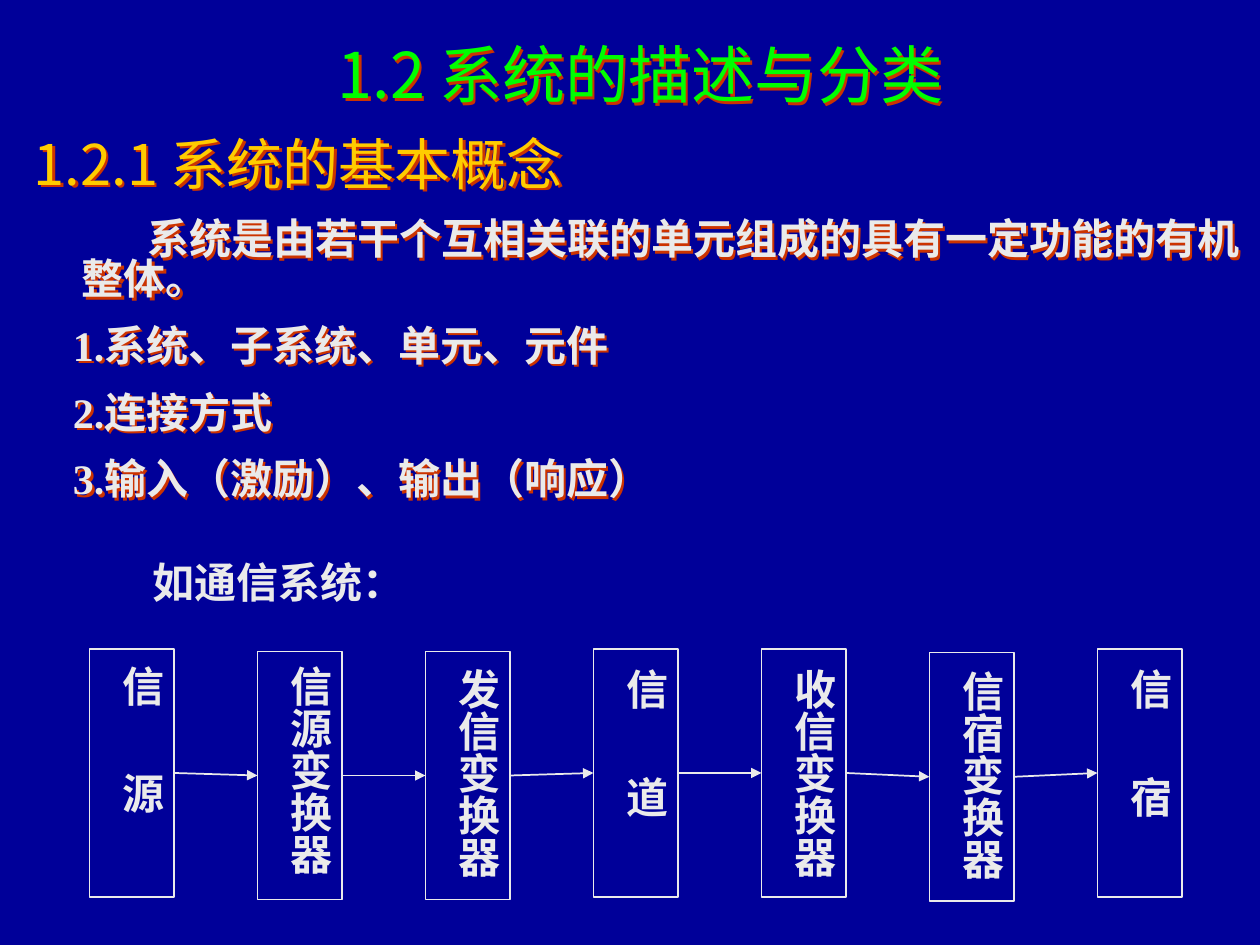
import pptx
import pptx.dml.color
import pptx.enum.shapes
import pptx.enum.text
import pptx.oxml
import pptx.oxml.ns
import pptx.util

Inches = pptx.util.Inches
Pt = pptx.util.Pt
RGBColor = pptx.dml.color.RGBColor
NAVY = RGBColor(0x00, 0x00, 0x99)
GREEN = RGBColor(0x00, 0xFF, 0x00)
GOLD = RGBColor(0xFF, 0xCC, 0x00)
PALE = RGBColor(0xEA, 0xEA, 0xEA)
SHADOW = RGBColor(0xCC, 0x33, 0x00)

TITLE_FONT = {"name": "Noto Sans CJK SC", "size": Pt(36), "bold": False}
HEADING_FONT = {"name": "Noto Sans CJK SC", "size": Pt(32), "bold": False}
BODY_FONT = {"name": "Times New Roman", "size": Pt(24), "bold": True}

# Text, first-line indent, space before, font, colour
BODY = [
    ("1.2.1 系统的基本概念", -0.38, 8, HEADING_FONT, GOLD),
    ("系统是由若干个互相关联的单元组成的具有一定功能的有机整体。", 0.52, 15, BODY_FONT, PALE),
    ("1.系统、子系统、单元、元件", -0.07, 15, BODY_FONT, PALE),
    ("2.连接方式", -0.07, 15, BODY_FONT, PALE),
    ("3.输入（激励）、输出（响应）", -0.07, 15, BODY_FONT, PALE),
]
# Label, top of box, top of label
STAGES = [
    ("信 源", 5.15, 5.18),
    ("信源变换器", 5.17, 5.18),
    ("发信变换器", 5.17, 5.21),
    ("信 道", 5.15, 5.21),
    ("收信变换器", 5.15, 5.21),
    ("信宿变换器", 5.18, 5.22),
    ("信 宿", 5.15, 5.21),
]
STAGE_LEFT = 0.71
STAGE_STEP = 4 / 3
STAGE_WIDTH = 0.67
STAGE_HEIGHT = 1.97


def set_values(target, values):
    for name, value in values.items():
        setattr(target, name, value)


def add_span(para, text, font, color):
    span = para.add_run()
    span.text = text
    set_values(span.font, font)
    span.font.color.rgb = color
    return span


def add_text_box(slide, left, top, width, height):
    box = slide.shapes.add_textbox(Inches(left), Inches(top), Inches(width), Inches(height))
    box.text_frame.word_wrap = True
    return box


def add_text_shadow(shape):
    """A shadow on an unfilled shape falls from its text."""
    shape._element.spPr.append(pptx.oxml.parse_xml(
        f'<a:effectLst {pptx.oxml.ns.nsdecls("a")}>'
        '<a:outerShdw dist="25400" dir="2700000" algn="ctr" rotWithShape="0">'
        f'<a:srgbClr val="{SHADOW}"/></a:outerShdw></a:effectLst>'))


def add_title(slide):
    title = slide.shapes.title
    set_values(title, {"left": Inches(0.17), "top": Inches(0.17),
                       "width": Inches(9.83), "height": Inches(0.83)})
    set_values(title.text_frame, {
        "auto_size": pptx.enum.text.MSO_AUTO_SIZE.NONE,
        "vertical_anchor": pptx.enum.text.MSO_ANCHOR.MIDDLE})
    para = title.text_frame.paragraphs[0]
    para.alignment = pptx.enum.text.PP_ALIGN.CENTER
    add_span(para, "1.2 系统的描述与分类", TITLE_FONT, GREEN)
    add_text_shadow(title)


def add_body(slide):
    box = add_text_box(slide, 0.17, 1.08, 9.83, 3.21)
    frame = box.text_frame
    for index, (text, indent, before, font, color) in enumerate(BODY):
        para = frame.add_paragraph() if index else frame.paragraphs[0]
        set_values(para, {"line_spacing": 0.8, "space_before": Pt(before)})
        properties = para._p.get_or_add_pPr()
        properties.set("marL", str(Inches(0.38)))
        properties.set("indent", str(Inches(indent)))
        add_span(para, text, font, color)
    add_text_shadow(box)


def add_example_lead(slide):
    box = add_text_box(slide, 1.11, 4.41, 4.55, 0.46)
    para = box.text_frame.paragraphs[0]
    set_values(para, {"line_spacing": 0.9, "space_before": Pt(15)})
    add_span(para, "如通信系统：", BODY_FONT, PALE)


def add_stage(slide, left, top):
    stage = slide.shapes.add_shape(
        pptx.enum.shapes.MSO_SHAPE.RECTANGLE, Inches(left), Inches(top),
        Inches(STAGE_WIDTH), Inches(STAGE_HEIGHT))
    stage.shadow.inherit = False
    stage.fill.background()
    stage.line.color.rgb = PALE
    stage.line.width = Pt(1)
    return stage


def add_vertical_label(slide, text, left, top):
    """Write top to bottom; a space in the text becomes a wide gap."""
    box = add_text_box(slide, left, top, 0.6, 1.88)
    frame = box.text_frame
    set_values(frame, {"margin_left": Inches(0.05), "margin_right": Inches(0.05),
                       "margin_top": Inches(0.1), "margin_bottom": Inches(0.1)})
    frame._txBody.bodyPr.set("vert", "eaVert")
    para = frame.paragraphs[0]
    set_values(para, {"alignment": pptx.enum.text.PP_ALIGN.CENTER, "space_before": Pt(15)})
    first, gap, last = text.rpartition(" ")
    if gap:
        span = add_span(para, first + gap, BODY_FONT, PALE)
        span._r.get_or_add_rPr().set("spc", "1600")
    add_span(para, last, BODY_FONT, PALE)


def add_arrow(slide, source, target):
    arrow = slide.shapes.add_connector(pptx.enum.shapes.MSO_CONNECTOR.STRAIGHT, 0, 0, 0, 0)
    arrow.begin_connect(source, 3)
    arrow.end_connect(target, 1)
    arrow.line.color.rgb = PALE
    arrow.line.width = Pt(1)
    namespace = pptx.oxml.ns.nsdecls("a")
    arrow.line._get_or_add_ln().append(
        pptx.oxml.parse_xml(f'<a:tailEnd {namespace} type="triangle"/>'))
    arrow._element.spPr.append(pptx.oxml.parse_xml(f"<a:effectLst {namespace}/>"))


def add_communication_chain(slide):
    stages = []
    for index, (text, box_top, label_top) in enumerate(STAGES):
        left = STAGE_LEFT + index * STAGE_STEP
        stages.append(add_stage(slide, left, box_top))
        add_vertical_label(slide, text, left + 0.07, label_top)
    for source, target in zip(stages, stages[1:]):
        add_arrow(slide, source, target)


def main():
    deck = pptx.Presentation()
    set_values(deck, {"slide_width": Inches(10), "slide_height": Inches(7.5)})
    slide = deck.slides.add_slide(deck.slide_layouts[5])
    slide.background.fill.solid()
    slide.background.fill.fore_color.rgb = NAVY
    add_title(slide)
    add_body(slide)
    add_example_lead(slide)
    add_communication_chain(slide)
    deck.save("out.pptx")


if __name__ == "__main__":
    main()
